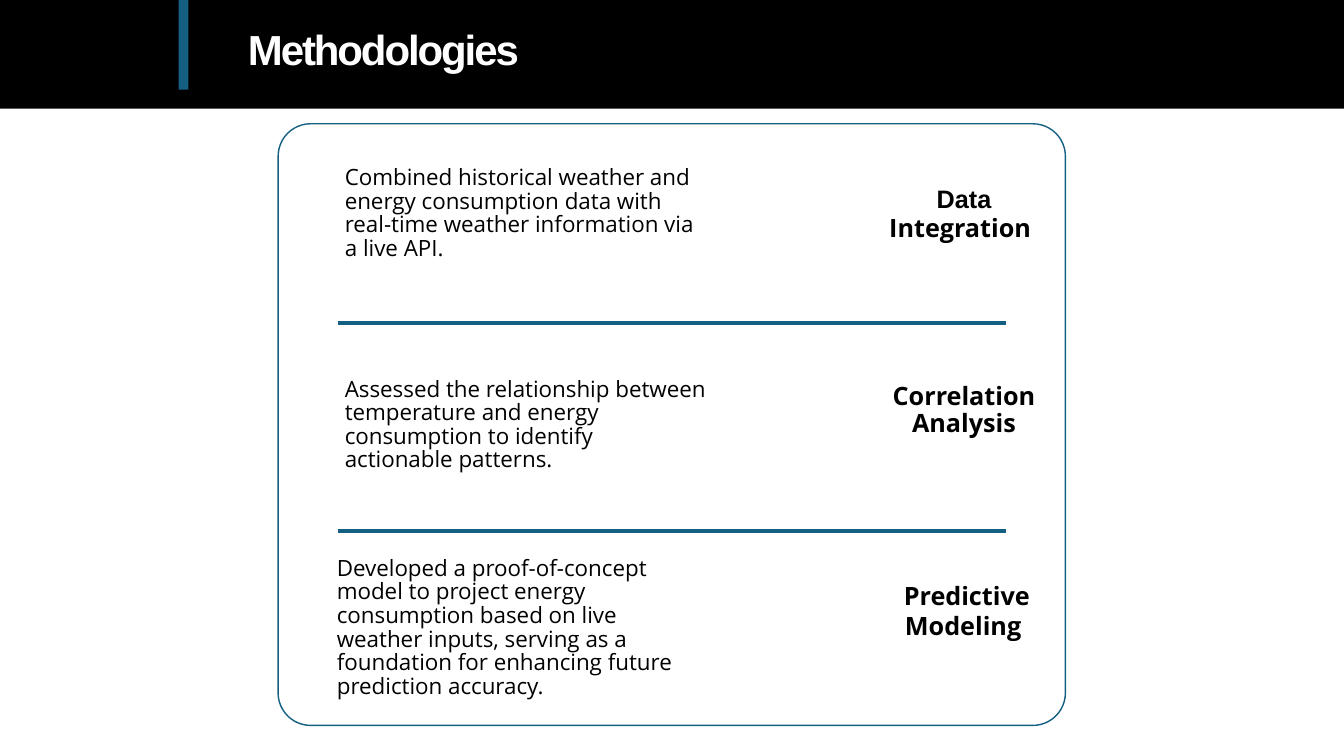
import pptx
import pptx.dml.color
import pptx.enum.shapes
import pptx.enum.text
import pptx.oxml.ns
import pptx.util
from lxml import etree

Cm = pptx.util.Cm
Pt = pptx.util.Pt
Shapes = pptx.enum.shapes.MSO_SHAPE
Anchor = pptx.enum.text.MSO_ANCHOR
Align = pptx.enum.text.PP_ALIGN

BLACK, WHITE, BLUE = "000000", "FFFFFF", "156082"


def set_color(color_format, value):
    color_format.rgb = pptx.dml.color.RGBColor.from_string(value)


def add_text(text, box, size, font="Open Sans", color=BLACK, bold=False, align=Align.LEFT,
             anchor=Anchor.MIDDLE, inset=0.18, line_spacing=0.9, tracking=None):
    frame = slide.shapes.add_textbox(*map(Cm, box)).text_frame
    frame.word_wrap = True
    frame.vertical_anchor = anchor
    frame.margin_left = frame.margin_right = frame.margin_top = frame.margin_bottom = Cm(inset)
    paragraph = frame.paragraphs[0]
    paragraph.alignment = align
    paragraph.line_spacing = line_spacing
    runs = [(text, {})] if isinstance(text, str) else text
    for content, changes in runs:
        run = paragraph.add_run()
        run.text = content
        run.font.name = changes.get("font", font)
        run.font.size = Pt(changes.get("size", size))
        run.font.bold = changes.get("bold", bold)
        set_color(run.font.color, color)
        if tracking:
            run.font._element.set("spc", str(int(tracking * 100)))


presentation = pptx.Presentation()
presentation.slide_width = Cm(33.87)
presentation.slide_height = Cm(19.05)
slide = presentation.slides.add_slide(presentation.slide_layouts[6])

for box, color in [((0, 0, 33.87, 2.74), BLACK), ((4.5, 0, 0.25, 2.26), BLUE)]:
    bar = slide.shapes.add_shape(Shapes.RECTANGLE, *map(Cm, box))
    bar.shadow.inherit = False
    bar.fill.solid()
    set_color(bar.fill.fore_color, color)
    bar.line.fill.background()

add_text("Methodologies", (6.25, 0.74, 22.58, 1.47), 30, font="Arial", color=WHITE, bold=True,
         anchor=Anchor.TOP, inset=0, tracking=-1.5)

card = slide.shapes.add_shape(Shapes.ROUNDED_RECTANGLE, Cm(7.01), Cm(3.12), Cm(19.84), Cm(15.16))
card.adjustments[0] = 0.054
card.shadow.inherit = False
card.fill.background()
set_color(card.line.color, BLUE)
card.line.width = Pt(1)

for top in (8.13, 13.39):
    divider = slide.shapes.add_connector(
        pptx.enum.shapes.MSO_CONNECTOR.STRAIGHT, Cm(8.51), Cm(top), Cm(25.35), Cm(top))
    set_color(divider.line.color, BLUE)
    divider.line.width = Pt(3)
    etree.SubElement(divider._element.spPr, pptx.oxml.ns.qn("a:effectLst"))

methods = [
    ("Combined historical weather and energy consumption data with real-time weather "
     "information via a live API.", (8.51, 3.89, 9.47, 3),
     [("Data ", {"font": "Arial"}), ("Integration", {}),
      (" ", {"font": "Arial", "size": 20, "bold": False})], (21.82, 4.09, 4.95, 2.67)),
    ("Assessed the relationship between temperature and energy consumption to identify "
     "actionable patterns.", (8.51, 9.22, 9.47, 3),
     "Correlation Analysis", (21.82, 9.02, 4.95, 2.67)),
    ("Developed a proof-of-concept model to project energy consumption based on live weather "
     "inputs, serving as a foundation for enhancing future prediction accuracy.",
     (8.31, 13.72, 9.47, 4.22),
     [("Predictive Modeling", {}), (" ", {"size": 20, "bold": False})],
     (21.89, 14.66, 4.95, 1.55)),
]
for description, description_box, label, label_box in methods:
    add_text(description, description_box, 16, line_spacing=0.88)
    add_text(label, label_box, 18, bold=True, align=Align.CENTER)

presentation.save("out.pptx")
